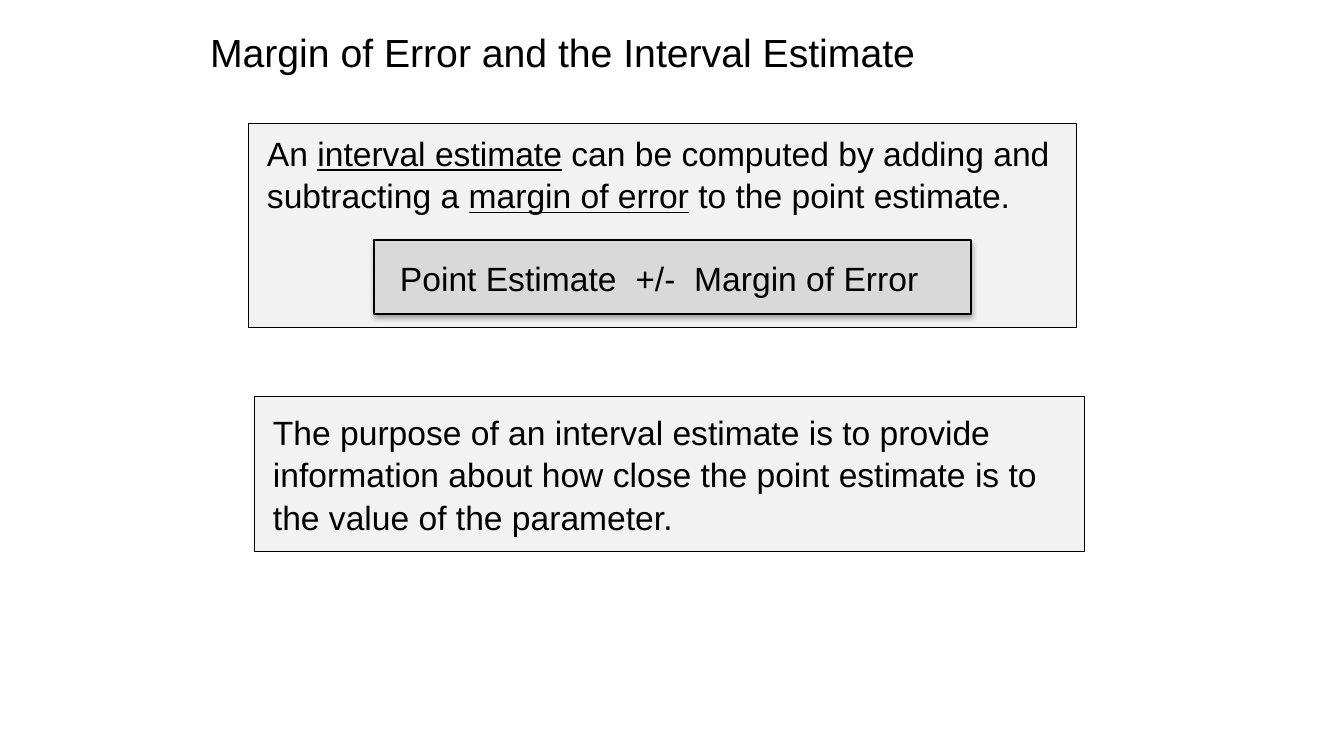
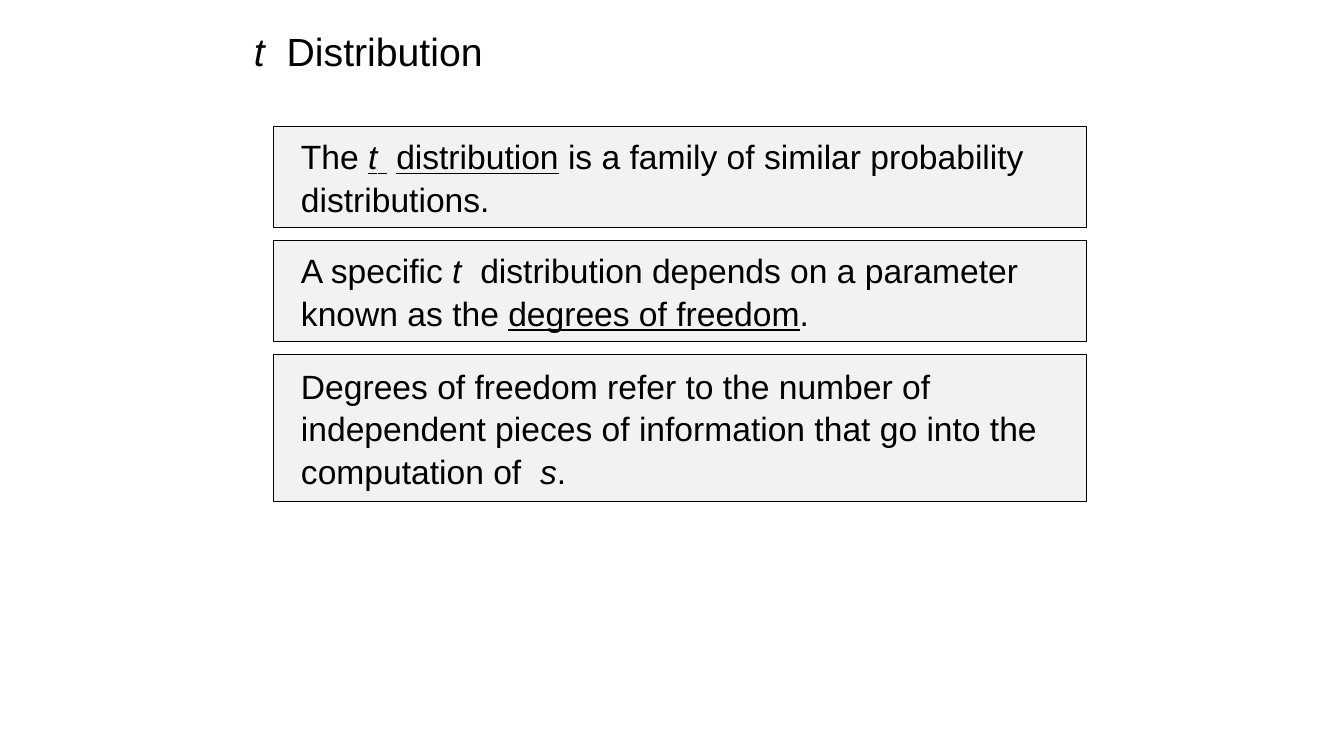
from dataclasses import dataclass
from typing import Any

from lxml.etree import SubElement
from pptx import Presentation
from pptx.dml.color import RGBColor
from pptx.enum.shapes import MSO_SHAPE
from pptx.enum.text import MSO_ANCHOR, MSO_AUTO_SIZE, PP_ALIGN
from pptx.oxml.ns import qn
from pptx.util import Emu, Pt

EMU_PER_PX = 914400 / 100.8
SLIDE_WIDTH, SLIDE_HEIGHT = 1344, 756
TITLE_ONLY_LAYOUT = 5


@dataclass(frozen=True)
class Theme:
    font: str = "Arial"
    ink: RGBColor = RGBColor(0x00, 0x00, 0x00)
    panel: RGBColor = RGBColor(0xF2, 0xF2, 0xF2)
    formula: RGBColor = RGBColor(0xD9, 0xD9, 0xD9)
    title_size: int = 28
    body_size: int = 24
    line_spacing: float = 1.05
    space_width: float = 0.28


THEME = Theme()


@dataclass(frozen=True)
class Piece:
    text: str
    italic: bool = False
    underline: bool = False
    wide: bool = False


@dataclass(frozen=True)
class Box:
    left: int
    top: int
    width: int
    height: int


@dataclass(frozen=True)
class Panel:
    box: Box
    pieces: tuple[Piece, ...]
    inset: int
    fill: RGBColor = THEME.panel
    line_width: float = 0.5
    anchor: MSO_ANCHOR = MSO_ANCHOR.MIDDLE
    shadow: bool = False


@dataclass(frozen=True)
class Page:
    title_box: Box
    title: tuple[Piece, ...]
    panels: tuple[Panel, ...]


def px(value: int) -> Emu:
    return Emu(round(value * EMU_PER_PX))


def apply(target: Any, values: dict[str, Any]) -> None:
    for name, value in values.items():
        setattr(target, name, value)


def write(shape: Any, pieces: tuple[Piece, ...], size: int, inset: int,
          anchor: MSO_ANCHOR, spacing: float) -> None:
    frame = shape.text_frame
    apply(frame, {
        "word_wrap": True,
        "auto_size": MSO_AUTO_SIZE.NONE,
        "vertical_anchor": anchor,
        "margin_left": px(inset),
        "margin_right": px(10),
        "margin_top": px(8 if anchor == MSO_ANCHOR.TOP else 5),
        "margin_bottom": px(5),
    })
    paragraph = frame.paragraphs[0]
    apply(paragraph, {"alignment": PP_ALIGN.LEFT, "line_spacing": spacing})
    for piece in pieces:
        run = paragraph.add_run()
        run.text = piece.text
        apply(run.font, {
            "name": THEME.font,
            "size": Pt(size),
            "italic": piece.italic,
            "underline": piece.underline,
        })
        run.font.color.rgb = THEME.ink
        if piece.wide:
            extra = round(size * THEME.space_width * 100)
            run._r.get_or_add_rPr().set("spc", str(extra))


def add_soft_shadow(shape: Any) -> None:
    effects = shape._element.spPr.find(qn("a:effectLst"))
    shadow = SubElement(effects, qn("a:outerShdw"), blurRad=str(Pt(3.5)),
                        dist=str(Pt(2.2)), dir="5400000", rotWithShape="0")
    color = SubElement(shadow, qn("a:srgbClr"), val=str(THEME.ink))
    SubElement(color, qn("a:alpha"), val="32000")


def add_panel(slide: Any, panel: Panel) -> None:
    box = panel.box
    shape = slide.shapes.add_shape(
        MSO_SHAPE.RECTANGLE, px(box.left), px(box.top), px(box.width), px(box.height))
    shape.shadow.inherit = False
    shape.fill.solid()
    shape.fill.fore_color.rgb = panel.fill
    shape.line.color.rgb = THEME.ink
    shape.line.width = Pt(panel.line_width)
    if panel.shadow:
        add_soft_shadow(shape)
    write(shape, panel.pieces, THEME.body_size, panel.inset, panel.anchor,
          THEME.line_spacing)


def add_page(presentation: Any, page: Page) -> None:
    slide = presentation.slides.add_slide(presentation.slide_layouts[TITLE_ONLY_LAYOUT])
    title, box = slide.shapes.title, page.title_box
    apply(title, {
        "left": px(box.left),
        "top": px(box.top),
        "width": px(box.width),
        "height": px(box.height),
    })
    write(title, page.title, THEME.title_size, 10, MSO_ANCHOR.MIDDLE, 1.0)
    for panel in page.panels:
        add_panel(slide, panel)


def stack(left: int, top: int, width: int, gap: int, inset: int,
          rows: tuple[tuple[int, tuple[Piece, ...]], ...]) -> tuple[Panel, ...]:
    panels = []
    for height, pieces in rows:
        panels.append(Panel(Box(left, top, width, height), pieces, inset))
        top += height + gap
    return tuple(panels)


WIDE_SPACE = Piece(" ", wide=True)

MARGIN_OF_ERROR = Page(
    Box(200, 16, 857, 72),
    (Piece("Margin of Error and the Interval Estimate"),),
    (
        Panel(Box(248, 123, 828, 204), (
            Piece("An "),
            Piece("interval estimate", underline=True),
            Piece(" can be computed by adding and subtracting a "),
            Piece("margin of error", underline=True),
            Piece(" to the point estimate."),
        ), 19, anchor=MSO_ANCHOR.TOP),
        Panel(Box(374, 240, 597, 74), (
            Piece("Point Estimate"),
            WIDE_SPACE,
            Piece("+/-"),
            WIDE_SPACE,
            Piece("Margin of Error"),
        ), 26, THEME.formula, 1, shadow=True),
        Panel(Box(254, 396, 830, 155), (
            Piece("The purpose of an interval estimate is to provide information "
                  "about how close the point estimate is to the value of the parameter."),
        ), 19),
    ),
)

T_DISTRIBUTION = Page(
    Box(244, 17, 857, 67),
    (Piece("t", italic=True), WIDE_SPACE, Piece("Distribution")),
    stack(273, 126, 813, 13, 28, (
        (101, (
            Piece("The "),
            Piece("t", italic=True, underline=True),
            Piece(" ", underline=True, wide=True),
            Piece("distribution", underline=True),
            Piece(" is a family of similar probability distributions."),
        )),
        (101, (
            Piece("A specific "),
            Piece("t", italic=True),
            WIDE_SPACE,
            Piece("distribution depends on a parameter known as the "),
            Piece("degrees of freedom", underline=True),
            Piece("."),
        )),
        (147, (
            Piece("Degrees of freedom refer to the number of independent pieces "
                  "of information that go into the computation of"),
            WIDE_SPACE,
            Piece("s", italic=True),
            Piece("."),
        )),
    )),
)


def main() -> None:
    presentation = Presentation()
    apply(presentation, {"slide_width": px(SLIDE_WIDTH), "slide_height": px(SLIDE_HEIGHT)})
    for page in (MARGIN_OF_ERROR, T_DISTRIBUTION):
        add_page(presentation, page)
    presentation.save("out.pptx")


if __name__ == "__main__":
    main()
